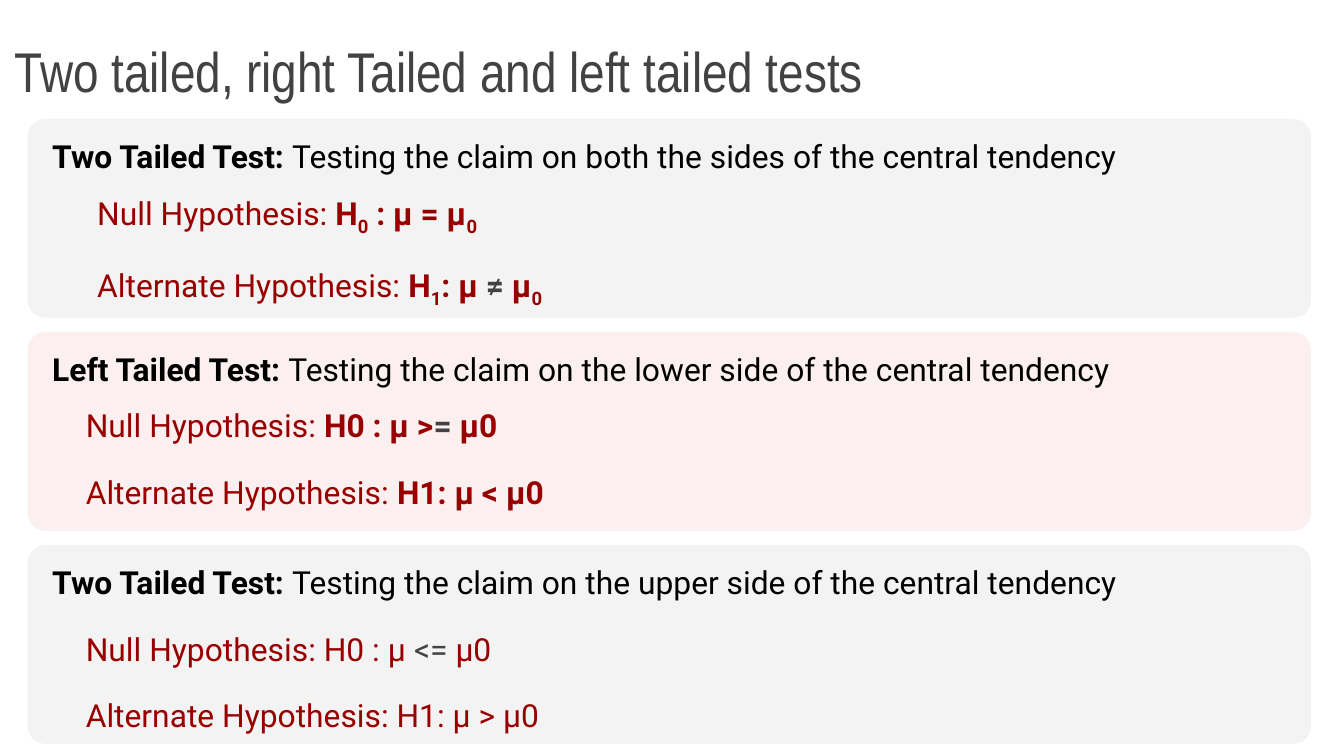
from typing import NamedTuple

from lxml.etree import SubElement
from pptx import Presentation
from pptx.dml.color import RGBColor
from pptx.enum.shapes import MSO_SHAPE
from pptx.enum.text import MSO_ANCHOR
from pptx.oxml.ns import qn
from pptx.util import Emu, Pt

PX = 4572  # 200 px to the inch
BLACK = RGBColor(0x00, 0x00, 0x00)
SLATE = RGBColor(0x42, 0x42, 0x42)
MAROON = RGBColor(0x98, 0x00, 0x00)
GRAY = RGBColor(0xF3, 0xF3, 0xF3)
PINK = RGBColor(0xF4, 0xCC, 0xCC)

TOP, PITCH = 177, 317
NULL = "Null Hypothesis: "
ALT = "Alternate Hypothesis: "


class Bit(NamedTuple):
    text: str
    color: RGBColor = MAROON
    bold: bool = False
    sub: bool = False


class Panel(NamedTuple):
    name: str
    claim: str
    left: int
    top: int
    lines: list[list[Bit]]
    fill: RGBColor = GRAY
    alpha: int = 100


def strong(text: str, color: RGBColor = MAROON) -> Bit:
    return Bit(text, color, bold=True)


def low(text: str) -> Bit:
    """Bold subscript."""
    return Bit(text, bold=True, sub=True)


PANELS = [
    Panel("Two Tailed Test: ", "both the sides", 125, 259, [
        [Bit(NULL), strong("H"), low("0"), strong(" : μ = μ"), low("0")],
        [Bit(ALT), strong("H"), low("1"), strong(": μ "),
         strong("≠", SLATE), strong(" μ"), low("0")],
    ]),
    Panel("Left Tailed Test: ", "the lower side", 108, 576, [
        [Bit(NULL), strong("H0 : μ >"), strong("=", SLATE), strong(" μ0")],
        [Bit(ALT), strong("H1: μ < μ0")],
    ], PINK, 30),
    Panel("Two Tailed Test: ", "the upper side", 108, 909, [
        [Bit(NULL + "H0 : μ "), Bit("<=", SLATE), Bit(" μ0")],
        [Bit(ALT + "H1: μ > μ0")],
    ]),
]


def scale(*sizes: int) -> list[Emu]:
    return [Emu(size * PX) for size in sizes]


def write(slide, box: tuple[int, int, int, int], lines: list[list[Bit]],
          font: str = "Roboto", size: int = 17, spacing: float = 1.15,
          anchor: MSO_ANCHOR = MSO_ANCHOR.TOP) -> None:
    frame = slide.shapes.add_textbox(*scale(*box)).text_frame
    frame.word_wrap = True
    frame.vertical_anchor = anchor
    inset, = scale(20)
    frame.margin_left = frame.margin_right = inset
    frame.margin_top = frame.margin_bottom = inset
    for i, bits in enumerate(lines):
        para = frame.add_paragraph() if i else frame.paragraphs[0]
        para.line_spacing = spacing
        if i:
            para.space_before = Pt(12)
        for bit in bits:
            run = para.add_run()
            run.text = bit.text
            run.font.name = font
            run.font.size = Pt(size)
            run.font.bold = bit.bold
            run.font.color.rgb = bit.color
            if bit.sub:
                run.font._element.set("baseline", "-25000")


def card(slide, top: int, panel: Panel) -> None:
    """Draw the rounded ground of a panel."""
    shape = slide.shapes.add_shape(
        MSO_SHAPE.ROUNDED_RECTANGLE, *scale(41, top, 1910, 296))
    shape.adjustments[0] = 0.09
    shape.shadow.inherit = False
    shape.line.fill.background()
    shape.fill.solid()
    shape.fill.fore_color.rgb = panel.fill
    if panel.alpha < 100:
        color = shape._element.spPr.find(".//" + qn("a:srgbClr"))
        SubElement(color, qn("a:alpha")).set("val", str(panel.alpha * 1000))


def main() -> None:
    deck = Presentation()
    deck.slide_width, deck.slide_height = scale(2000, 1125)
    slide = deck.slides.add_slide(deck.slide_layouts[6])
    title = Bit("Two tailed, right Tailed and left tailed tests", SLATE)
    write(slide, (2, 15, 1864, 160), [[title]], "Arial Narrow", 30, 1.0,
          MSO_ANCHOR.BOTTOM)
    for i, panel in enumerate(PANELS):
        top = TOP + i * PITCH
        card(slide, top, panel)
        write(slide, (panel.left, panel.top, 892, 202), panel.lines)
        claim = f"Testing the claim on {panel.claim} of the central tendency"
        write(slide, (58, top - 2, 1774, 116),
              [[strong(panel.name, BLACK), Bit(claim, BLACK)]])
    deck.save("out.pptx")


if __name__ == "__main__":
    main()
